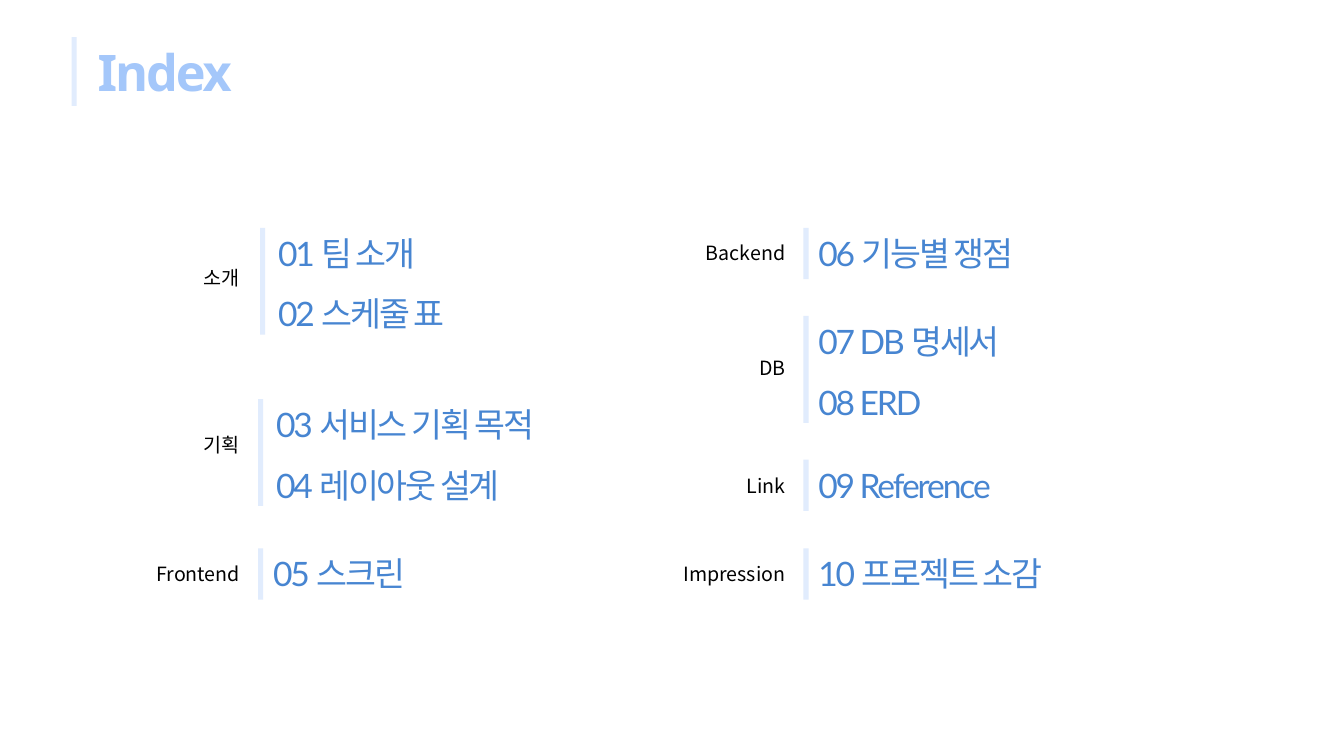
from pptx import Presentation
from pptx.dml.color import RGBColor
from pptx.enum.shapes import MSO_SHAPE
from pptx.enum.text import MSO_ANCHOR, PP_ALIGN
from pptx.oxml.ns import qn
from pptx.util import Inches, Pt

PALE = RGBColor(0xE1, 0xEC, 0xFD)
SKY = RGBColor(0xA4, 0xC7, 0xFA)
BLUE = RGBColor(0x47, 0x85, 0xD1)
BLACK = RGBColor(0, 0, 0)

deck = Presentation()
deck.slide_width = Inches(13.33)
deck.slide_height = Inches(7.5)
col = deck.slide_width / 100
row = deck.slide_height / 100
slide = deck.slides.add_slide(deck.slide_layouts[6])


def add_text(words, x, y, wide, high, face, size, color, track=0):
    box = slide.shapes.add_textbox(int(x * col), int(y * row), int(wide * col), int(high * row))
    frame = box.text_frame
    frame.word_wrap = True
    para = frame.paragraphs[0]
    run = para.add_run()
    run.text = words
    para.font.name = face
    para.font.size = Pt(size)
    para.font.color.rgb = color
    props = run._r.get_or_add_rPr()
    if track:
        props.set("spc", str(track))
    return frame, para, props


def add_bar(x, y, high):
    bar = slide.shapes.add_shape(
        MSO_SHAPE.RECTANGLE, int(x * col), int(y * row), int(0.38 * col), int(high * row))
    bar.shadow.inherit = False
    bar.fill.solid()
    bar.fill.fore_color.rgb = PALE
    bar.line.fill.background()


add_bar(5.33, 4.93, 9.07)
title = add_text("Index", 6.53, 4.8, 42.6, 9.47, "Noto Sans", 36, SKY, -150)[1]
title.font.bold = True

LEFT, RIGHT = 18.6, 59.18
groups = [
    ("소개", LEFT, 34.4, 19.35, 19.95, 30.13, ["01 팀 소개", "02 스케줄 표"]),
    ("기획", LEFT, 56.53, 19.2, 19.8, 52.8, ["03 서비스 기획 목적", "04 레이아웃 설계"]),
    ("Frontend", LEFT, 73.6, 19.2, 19.58, 72.53, ["05 스크린"]),
    ("Backend", RIGHT, 31.2, 59.78, 60.15, 30.13, ["06 기능별 쟁점"]),
    ("DB", RIGHT, 46.4, 59.78, 60.15, 41.8, ["07 DB 명세서", "08 ERD"]),
    ("Link", RIGHT, 62, 59.78, 60.15, 60.8, ["09 Reference"]),
    ("Impression", RIGHT, 73.6, 59.78, 60.15, 72.53, ["10 프로젝트 소감"]),
]

for name, edge, mid, line, start, top, items in groups:
    add_bar(line, top, 6.8 + 7.33 * (len(items) - 1))
    frame, para, props = add_text(
        name, edge - 12.75, mid, 12.75, 4.53, "Noto Sans CJK KR", 14, BLACK)
    frame.vertical_anchor = MSO_ANCHOR.MIDDLE
    para.alignment = PP_ALIGN.RIGHT
    east = props.makeelement(qn("a:ea"), {"typeface": "Noto Sans CJK KR"})
    props.append(east)
    for step, item in enumerate(items):
        add_text(item, start, top + 8 * step, 25.4, 6.67, "Lato", 24, BLUE, -150)

deck.save("out.pptx")
